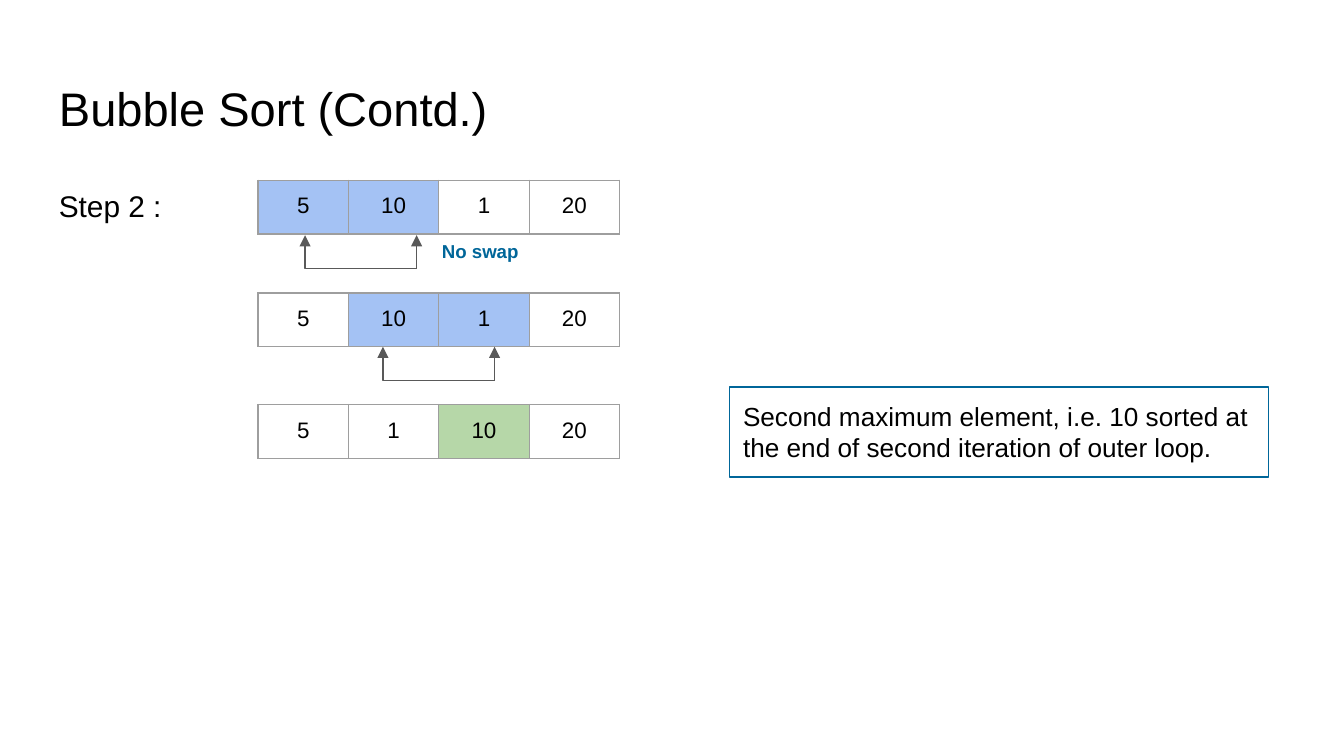
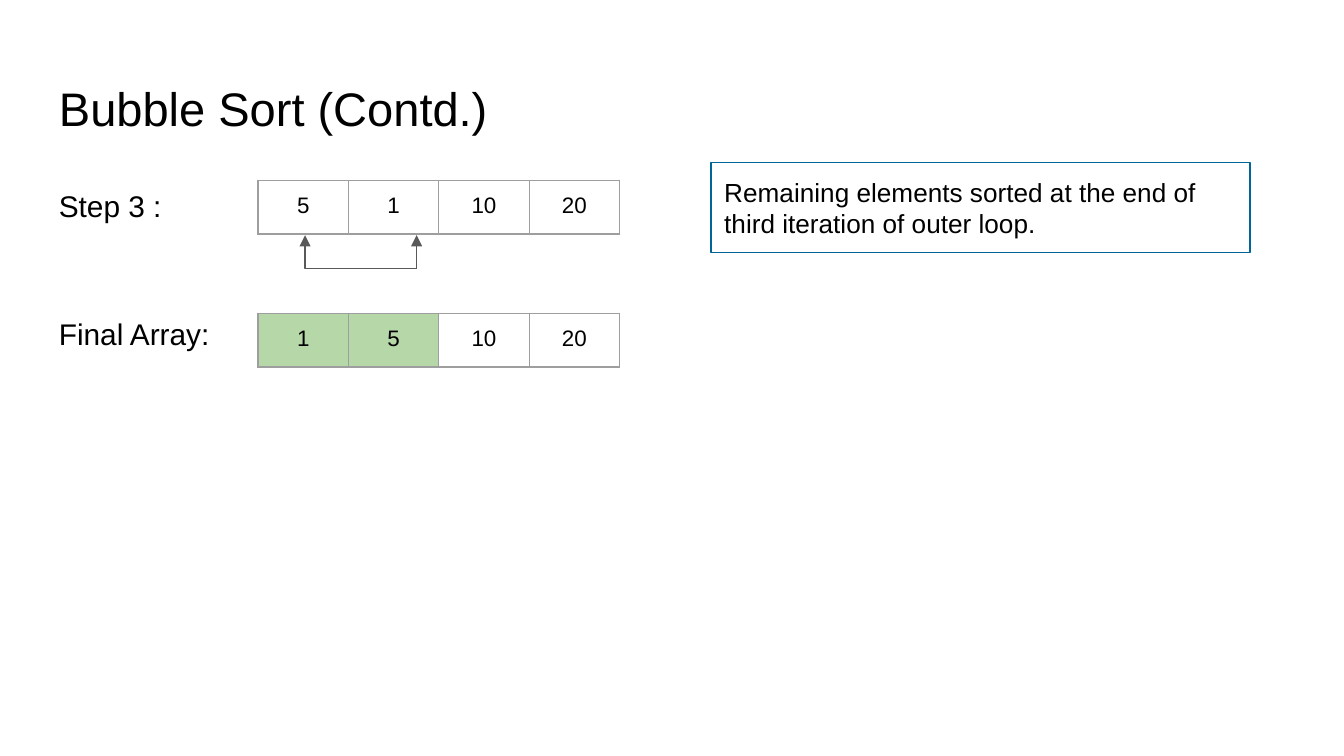
"""Builds two slides that trace the later steps of bubble sort."""
from lxml.etree import SubElement
from pptx import Presentation
from pptx.dml.color import RGBColor
from pptx.enum.shapes import MSO_CONNECTOR, MSO_SHAPE
from pptx.enum.text import MSO_ANCHOR, PP_ALIGN
from pptx.oxml.ns import qn
from pptx.util import Inches, Pt

FONT = "Arial"
BLACK, ACCENT, ARROW, BORDER = "000000", "006699", "595959", "9E9E9E"
COMPARED, SORTED = "A4C2F4", "B6D7A8"
TITLE = "Bubble Sort (Contd.)"

ARRAY_LEFT, ARRAY_WIDTH, ROW_HEIGHT = 1.92, 2.69, 0.27
BRACKET_WIDTH, BRACKET_HEIGHT = 0.83, 0.25
NOTE_WIDTH, NOTE_HEIGHT = 4.01, 0.67
LABEL_GAP = 46.5

SLIDES = [
    {
        "labels": ["Step 2 :"],
        "arrays": [
            {"top": 1.34, "values": [5, 10, 1, 20], "marked": (0, 1), "color": COMPARED},
            {"top": 2.18, "values": [5, 10, 1, 20], "marked": (1, 2), "color": COMPARED},
            {"top": 3.01, "values": [5, 1, 10, 20], "marked": (2,), "color": SORTED},
        ],
        "brackets": [(2.27, 1.75), (2.85, 2.58)],
        "note": (5.43, 2.88, "Second maximum element, i.e. 10 sorted at "
                             "the end of second iteration of outer loop."),
        "remark": (3.19, 1.7, "No swap"),
    },
    {
        "labels": ["Step 3 :", "Final Array:"],
        "arrays": [
            {"top": 1.34, "values": [5, 1, 10, 20]},
            {"top": 2.33, "values": [1, 5, 10, 20], "marked": (0, 1), "color": SORTED},
        ],
        "brackets": [(2.27, 1.75)],
        "note": (5.29, 1.21, "Remaining elements sorted at the end of "
                             "third iteration of outer loop."),
    },
]


def rgb(color):
    return RGBColor.from_string(color)


def set_margins(frame):
    frame.margin_left = frame.margin_right = Inches(0.1)
    frame.margin_top = frame.margin_bottom = Inches(0.1)


def add_run(paragraph, text, size, color=BLACK, bold=False):
    run = paragraph.add_run()
    run.text = text
    run.font.name = FONT
    run.font.size = Pt(size)
    run.font.bold = bold
    run.font.color.rgb = rgb(color)


def add_text(slide, left, top, width, height):
    box = slide.shapes.add_textbox(*map(Inches, (left, top, width, height)))
    frame = box.text_frame
    frame.word_wrap = True
    set_margins(frame)
    return frame


def add_labels(slide, labels):
    frame = add_text(slide, 0.34, 1.26, 9.56, 4.28)
    for index, label in enumerate(labels):
        paragraph = frame.add_paragraph() if index else frame.paragraphs[0]
        paragraph.line_spacing = 1.15
        paragraph.space_before = Pt(LABEL_GAP if index else 0)
        add_run(paragraph, label, 16)


def add_borders(cell):
    properties = cell._tc.get_or_add_tcPr()
    for side in ("a:lnL", "a:lnR", "a:lnT", "a:lnB"):
        line = SubElement(properties, qn(side), w=str(Pt(0.75)))
        fill = SubElement(line, qn("a:solidFill"))
        SubElement(fill, qn("a:srgbClr"), val=BORDER)


def add_array(slide, top, values, marked=(), color=None):
    bounds = map(Inches, (ARRAY_LEFT, top, ARRAY_WIDTH, ROW_HEIGHT))
    table = slide.shapes.add_table(1, len(values), *bounds).table
    table.first_row = table.horz_banding = False
    for index, value in enumerate(values):
        cell = table.cell(0, index)
        set_margins(cell)
        add_borders(cell)
        if index in marked:
            cell.fill.solid()
            cell.fill.fore_color.rgb = rgb(color)
        else:
            cell.fill.background()
        paragraph = cell.text_frame.paragraphs[0]
        paragraph.alignment = PP_ALIGN.CENTER
        add_run(paragraph, str(value), 12)


def add_arrow(slide, kind, start, end, arrow_end):
    connector = slide.shapes.add_connector(kind, *map(Inches, (*start, *end)))
    connector.line.color.rgb = rgb(ARROW)
    connector.line.width = Pt(0.75)
    SubElement(connector.line._get_or_add_ln(), qn(arrow_end), type="triangle")
    properties = connector._element.spPr
    SubElement(properties, qn("a:effectLst"))
    if kind == MSO_CONNECTOR.ELBOW:
        geometry = properties.find(qn("a:prstGeom"))
        adjustments = geometry.find(qn("a:avLst"))
        if adjustments is None:
            adjustments = SubElement(geometry, qn("a:avLst"))
        SubElement(adjustments, qn("a:gd"), name="adj1", fmla="val 0")


def add_bracket(slide, left, top):
    right, bottom = left + BRACKET_WIDTH, top + BRACKET_HEIGHT
    add_arrow(slide, MSO_CONNECTOR.ELBOW, (left, top), (right, bottom), "a:headEnd")
    add_arrow(slide, MSO_CONNECTOR.STRAIGHT, (right, bottom), (right, top), "a:tailEnd")


def add_note(slide, left, top, text):
    shape = slide.shapes.add_shape(
        MSO_SHAPE.RECTANGLE, *map(Inches, (left, top, NOTE_WIDTH, NOTE_HEIGHT)))
    shape.shadow.inherit = False
    shape.fill.background()
    shape.line.color.rgb = rgb(ACCENT)
    shape.line.width = Pt(0.75)
    frame = shape.text_frame
    frame.word_wrap = True
    frame.vertical_anchor = MSO_ANCHOR.TOP
    set_margins(frame)
    paragraph = frame.paragraphs[0]
    paragraph.alignment = PP_ALIGN.LEFT
    add_run(paragraph, text, 14)


def add_slide(presentation, content):
    slide = presentation.slides.add_slide(presentation.slide_layouts[6])
    title = add_text(slide, 0.34, 0.49, 9.32, 0.63)
    add_run(title.paragraphs[0], TITLE, 25.2)
    add_labels(slide, content["labels"])
    for array in content["arrays"]:
        add_array(slide, **array)
    for left, top in content["brackets"]:
        add_bracket(slide, left, top)
    add_note(slide, *content["note"])
    if "remark" in content:
        left, top, text = content["remark"]
        remark = add_text(slide, left, top, 0.98, 0.37)
        add_run(remark.paragraphs[0], text, 10, ACCENT, bold=True)


def main():
    presentation = Presentation()
    presentation.slide_width = Inches(10)
    presentation.slide_height = Inches(10) * 9 // 16
    for content in SLIDES:
        add_slide(presentation, content)
    presentation.save("out.pptx")


if __name__ == "__main__":
    main()
